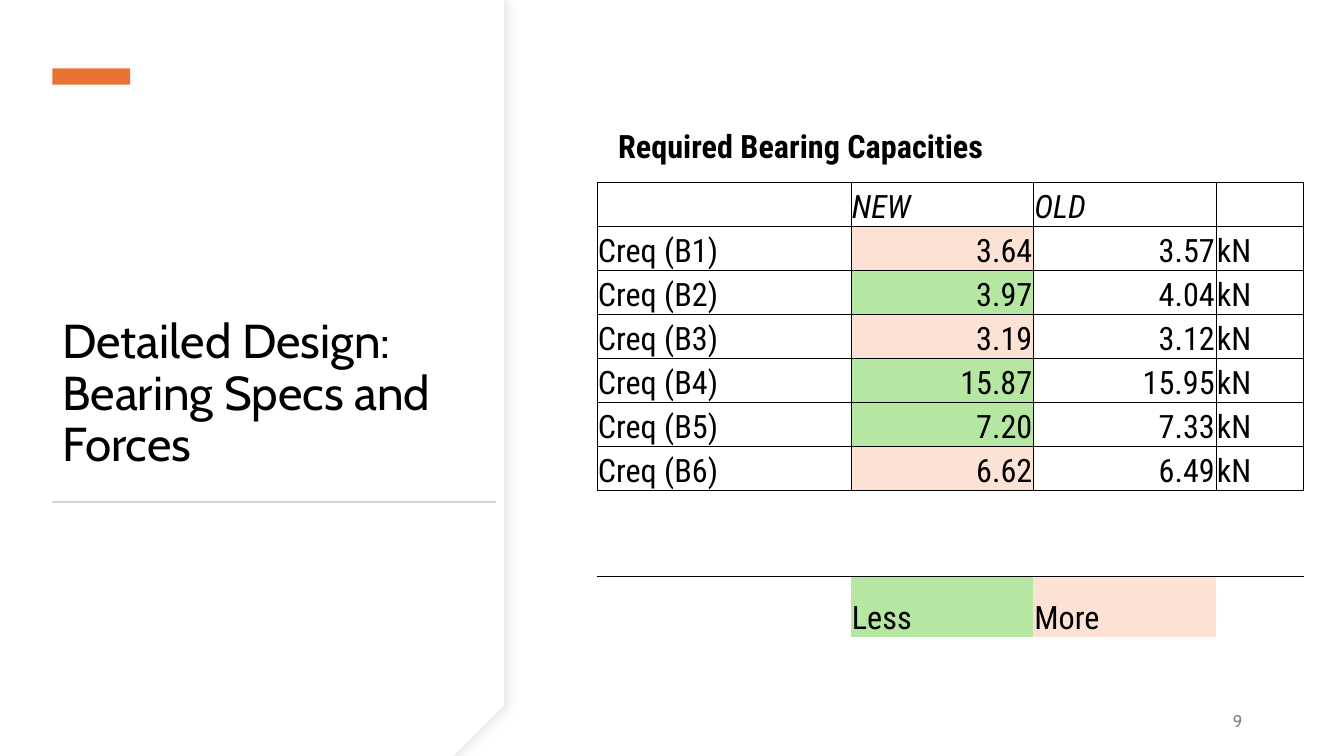
import pptx
import pptx.util
import pptx.dml.color
import pptx.enum.shapes
import pptx.enum.text
import pptx.oxml
import pptx.oxml.ns

In, Pt = pptx.util.Inches, pptx.util.Pt
ALIGN = pptx.enum.text.PP_ALIGN
ANCHOR = pptx.enum.text.MSO_ANCHOR
W, H = 13.33, 7.5
MORE, LESS = "FBE2D5", "B5E6A2"
NS = pptx.oxml.ns.nsdecls("a")
CAPACITIES = [("B1", 3.64, 3.57), ("B2", 3.97, 4.04), ("B3", 3.19, 3.12),
              ("B4", 15.87, 15.95), ("B5", 7.20, 7.33), ("B6", 6.62, 6.49)]
COLS = [2.52, 1.81, 1.81, 0.87]
ROWS = [0.63] + [3.06 / 7] * 7 + [0.85, 0.6]
NO_STYLE = "{2D5ABB26-0587-4C30-8999-92F81FD0307C}"


def rgb(color):
    return pptx.dml.color.RGBColor.from_string(color)


def write(tf, text, size, font, color="000000", align=ALIGN.LEFT, bold=False, italic=False):
    tf.text = text
    p = tf.paragraphs[0]
    p.alignment = align
    for r in p.runs:
        r.font.size, r.font.name = Pt(size), font
        r.font.bold, r.font.italic = bold, italic
        r.font.color.rgb = rgb(color)
    return p


def add_text(s, box, text, size, color, anchor, align=ALIGN.LEFT):
    tf = s.shapes.add_textbox(*map(In, box)).text_frame
    tf.word_wrap, tf.vertical_anchor = True, anchor
    return write(tf, text, size, "Cabin", color, align)


def add_bar(s, box, color):
    sp = s.shapes.add_shape(pptx.enum.shapes.MSO_SHAPE.RECTANGLE, *map(In, box))
    sp.shadow.inherit = False
    sp.fill.solid()
    sp.fill.fore_color.rgb = rgb(color)
    sp.line.fill.background()


def bezier(points, steps=24):
    """Points along a cubic curve, without its start."""
    for i in range(1, steps + 1):
        t = i / steps
        weights = ((1 - t) ** 3, 3 * t * (1 - t) ** 2, 3 * t * t * (1 - t), t ** 3)
        yield tuple(sum(w * pt[k] for w, pt in zip(weights, points)) for k in (0, 1))


def add_curved_panel(s, width, outlined):
    """White panel from the left edge, bulging to the given width at mid height."""
    corner, bend, mid = width - 0.93, width - 0.85, H / 2
    upper = [(bend, 0.13), (width - 0.31, 1.14), (width, 2.39), (width, mid)]
    lower = [(x, H - y) for x, y in reversed(upper)]
    outline = [(corner, 0), upper[0], *bezier(upper), *bezier(lower), (corner, H), (0, H)]
    builder = s.shapes.build_freeform(0, 0, scale=In(1))
    builder.add_line_segments(outline, close=True)
    sp = builder.convert_to_shape()
    sp.shadow.inherit = False
    sp.fill.solid()
    sp.fill.fore_color.rgb = rgb("FFFFFF")
    if not outlined:
        sp.line.fill.background()
        return
    sp.line.color.rgb = rgb("E6E6E6")
    sp.line.width = Pt(0.75)
    effects = sp._element.spPr.find(pptx.oxml.ns.qn("a:effectLst"))
    effects.append(pptx.oxml.parse_xml(
        f'<a:outerShdw {NS} blurRad="{Pt(6)}" dist="{Pt(3)}" dir="0" algn="l" rotWithShape="0">'
        '<a:srgbClr val="D9D9D9"><a:alpha val="50000"/></a:srgbClr></a:outerShdw>'))


def add_title_panel(s, box):
    x, y, w, h = box
    add_curved_panel(s, x + w, True)
    add_curved_panel(s, x + w - 0.01, False)
    left, inner = x + 0.52, 4.4
    p = add_text(s, (left, y + 1.23, inner, 3.5), "Detailed Design: Bearing Specs and Forces",
                 34, "000000", ANCHOR.BOTTOM)
    p.line_spacing = 0.9
    add_bar(s, (left, y + 0.68, 0.77, 0.16), "E97132")
    add_bar(s, (left, y + 4.97, inner, 0.02), "D5D5D5")


def set_borders(cell, sides):
    tcPr = cell._tc.get_or_add_tcPr()
    for i, side in enumerate(sides):
        tcPr.insert(i, pptx.oxml.parse_xml(
            f'<a:ln{side} {NS} w="{Pt(0.5)}"><a:solidFill><a:srgbClr val="000000"/>'
            f'</a:solidFill></a:ln{side}>'))


def fill_cell(cell, text, fill=None, **style):
    cell.vertical_anchor = ANCHOR.BOTTOM
    cell.margin_left = cell.margin_right = cell.margin_top = In(0.01)
    cell.margin_bottom = 0
    write(cell.text_frame, text, 23, "Roboto Condensed", **style)
    if fill:
        cell.fill.solid()
        cell.fill.fore_color.rgb = rgb(fill)


def add_capacity_table(s, x, y):
    frame = s.shapes.add_table(len(ROWS), len(COLS), In(x), In(y), In(sum(COLS)), In(sum(ROWS)))
    table = frame.table
    table.first_row = table.horz_banding = False
    table._tbl.tblPr.find(pptx.oxml.ns.qn("a:tableStyleId")).text = NO_STYLE
    for column, width in zip(table.columns, COLS):
        column.width = In(width)
    for row, height in zip(table.rows, ROWS):
        row.height = In(height)
    for cell in table.iter_cells():
        cell.fill.background()

    heading = table.cell(0, 0)
    heading.merge(table.cell(0, 2))
    write(heading.text_frame, "Required Bearing Capacities", 23, "Roboto Condensed", bold=True)
    heading.margin_left = heading.margin_right = In(0.21)
    heading.margin_top = heading.margin_bottom = In(0.1)

    for c, label in enumerate(("NEW", "OLD"), 1):
        fill_cell(table.cell(1, c), label, italic=True)
    for r, (bearing, new, old) in enumerate(CAPACITIES, 2):
        fill_cell(table.cell(r, 0), f"Creq ({bearing})")
        fill_cell(table.cell(r, 1), f"{new:.2f}", MORE if new > old else LESS, align=ALIGN.RIGHT)
        fill_cell(table.cell(r, 2), f"{old:.2f}", align=ALIGN.RIGHT)
        fill_cell(table.cell(r, 3), "kN")
    legend = len(ROWS) - 1
    fill_cell(table.cell(legend, 1), "Less", LESS)
    fill_cell(table.cell(legend, 2), "More", MORE)

    for c in range(len(COLS)):
        set_borders(table.cell(0, c), "B")
        for r in range(1, legend - 1):
            set_borders(table.cell(r, c), "LRTB")
        set_borders(table.cell(legend - 1, c), "T")


def main():
    prs = pptx.Presentation()
    prs.slide_width, prs.slide_height = In(W), In(H)
    s = prs.slides.add_slide(prs.slide_layouts[6])
    add_title_panel(s, (0, 0, 5.42, H))
    number = add_text(s, (10.77, 6.95, 1.65, 0.4), "9", 12, "808080", ANCHOR.MIDDLE, ALIGN.RIGHT)
    number.space_after = Pt(6)
    add_capacity_table(s, 5.92, 1.18)
    prs.save("out.pptx")


if __name__ == "__main__":
    main()
